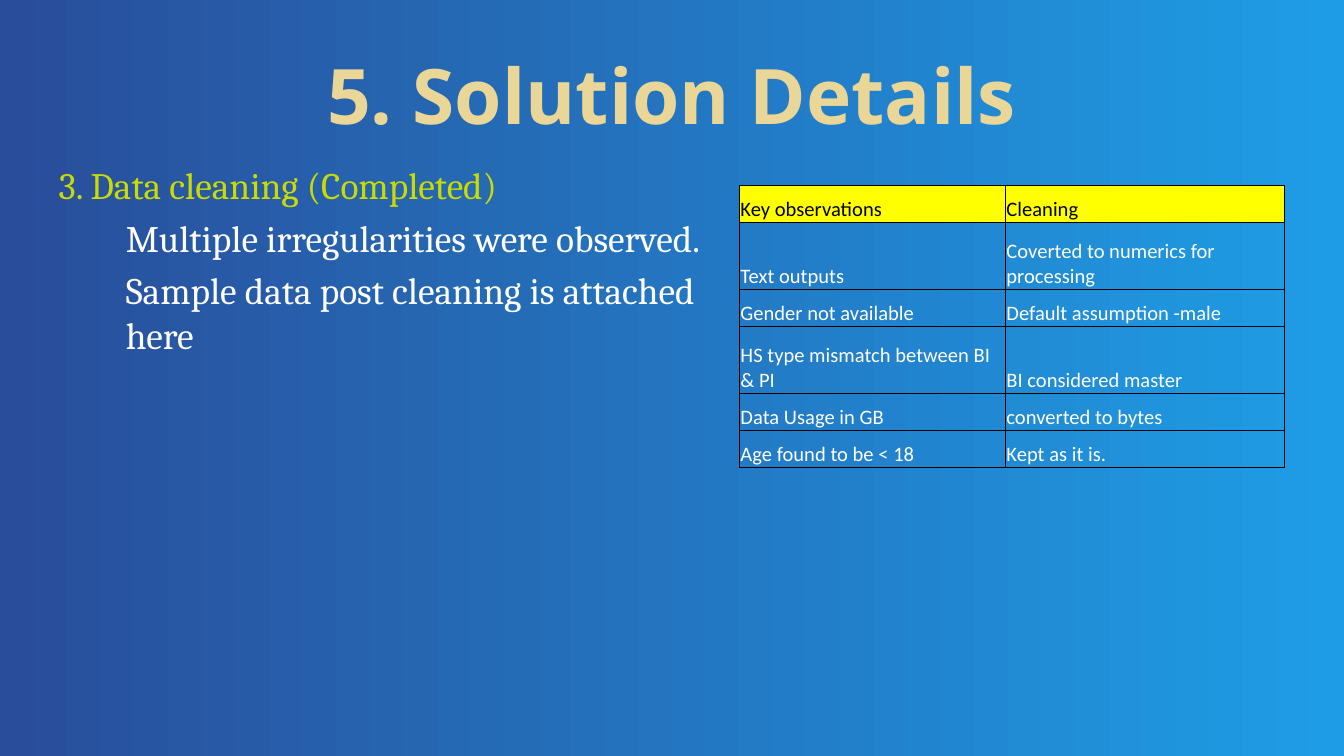
from pptx import Presentation
from pptx.dml.color import RGBColor
from pptx.enum.shapes import MSO_SHAPE
from pptx.enum.text import MSO_ANCHOR, PP_ALIGN
from pptx.oxml.ns import qn
from pptx.util import Pt
from lxml.etree import SubElement

SKY = RGBColor(0x1E, 0x9D, 0xE6)
NAVY = RGBColor(0x29, 0x4D, 0x9A)
SAND = RGBColor(0xEA, 0xD6, 0x96)
LIME = RGBColor(0xC9, 0xDB, 0x03)
YELLOW = RGBColor(0xFF, 0xFF, 0x00)
WHITE = RGBColor(0xFF, 0xFF, 0xFF)
BLACK = RGBColor(0x00, 0x00, 0x00)


def add_run(p, text, font, size, color, bold=False):
    r = p.add_run()
    r.text = text
    r.font.name = font
    r.font.size = Pt(size)
    r.font.bold = bold
    r.font.color.rgb = color


def add_borders(cell):
    tcPr = cell._tc.get_or_add_tcPr()
    for side in ("a:lnL", "a:lnR", "a:lnT", "a:lnB"):
        ln = SubElement(tcPr, qn(side), w=str(Pt(0.5)))
        fill = SubElement(ln, qn("a:solidFill"))
        SubElement(fill, qn("a:srgbClr"), val=str(BLACK))


prs = Presentation()
prs.slide_width = Pt(720)
prs.slide_height = Pt(405)
s = prs.slides.add_slide(prs.slide_layouts[6])

sp = s.shapes.add_shape(MSO_SHAPE.RECTANGLE, 0, 0, prs.slide_width, prs.slide_height)
sp.shadow.inherit = False
sp.line.fill.background()
sp.fill.gradient()
sp.fill.gradient_angle = 180
for stop, color in zip(sp.fill.gradient_stops, (SKY, NAVY)):
    stop.color.rgb = color

tf = s.shapes.add_textbox(Pt(36), Pt(16.5), Pt(648), Pt(68)).text_frame
tf.word_wrap = True
tf.vertical_anchor = MSO_ANCHOR.MIDDLE
p = tf.paragraphs[0]
p.alignment = PP_ALIGN.CENTER
add_run(p, "5. Solution Details", "Noto Sans", 41, SAND, bold=True)

tf = s.shapes.add_textbox(Pt(13.5), Pt(83.5), Pt(386), Pt(211)).text_frame
tf.word_wrap = True
lines = [
    ("3. Data cleaning (Completed)", LIME, -36),
    ("Multiple irregularities were observed.", WHITE, 0),
    ("Sample data post cleaning is attached here", WHITE, 0),
]
for i, (text, color, indent) in enumerate(lines):
    p = tf.add_paragraph() if i else tf.paragraphs[0]
    p.space_before = Pt(4)
    pPr = p._p.get_or_add_pPr()
    pPr.set("marL", str(Pt(46.8)))
    pPr.set("indent", str(Pt(indent)))
    add_run(p, text, "Cambria", 20, color)

rows = [
    ("Key observations", "Cleaning"),
    ("Text outputs", "Coverted to numerics for processing"),
    ("Gender not available", "Default assumption -male"),
    ("HS type mismatch between BI & PI", "BI considered master"),
    ("Data Usage in GB", "converted to bytes"),
    ("Age found to be < 18", "Kept as it is."),
]
heights = [19.8, 36, 19.8, 36, 19.8, 19.8]
widths = [142.5, 149.5]
table = s.shapes.add_table(
    len(rows), 2, Pt(396), Pt(99.2), Pt(sum(widths)), Pt(sum(heights))
).table
table.first_row = False
table.horz_banding = False
for col, width in zip(table.columns, widths):
    col.width = Pt(width)
for i, (row, height) in enumerate(zip(rows, heights)):
    table.rows[i].height = Pt(height)
    for j, text in enumerate(row):
        cell = table.cell(i, j)
        cell.margin_left = cell.margin_right = cell.margin_top = Pt(0.7)
        cell.margin_bottom = 0
        cell.vertical_anchor = MSO_ANCHOR.BOTTOM
        add_borders(cell)
        if i == 0:
            cell.fill.solid()
            cell.fill.fore_color.rgb = YELLOW
        else:
            cell.fill.background()
        p = cell.text_frame.paragraphs[0]
        add_run(p, text, "Calibri", 11, WHITE if i else BLACK)

prs.save("out.pptx")
